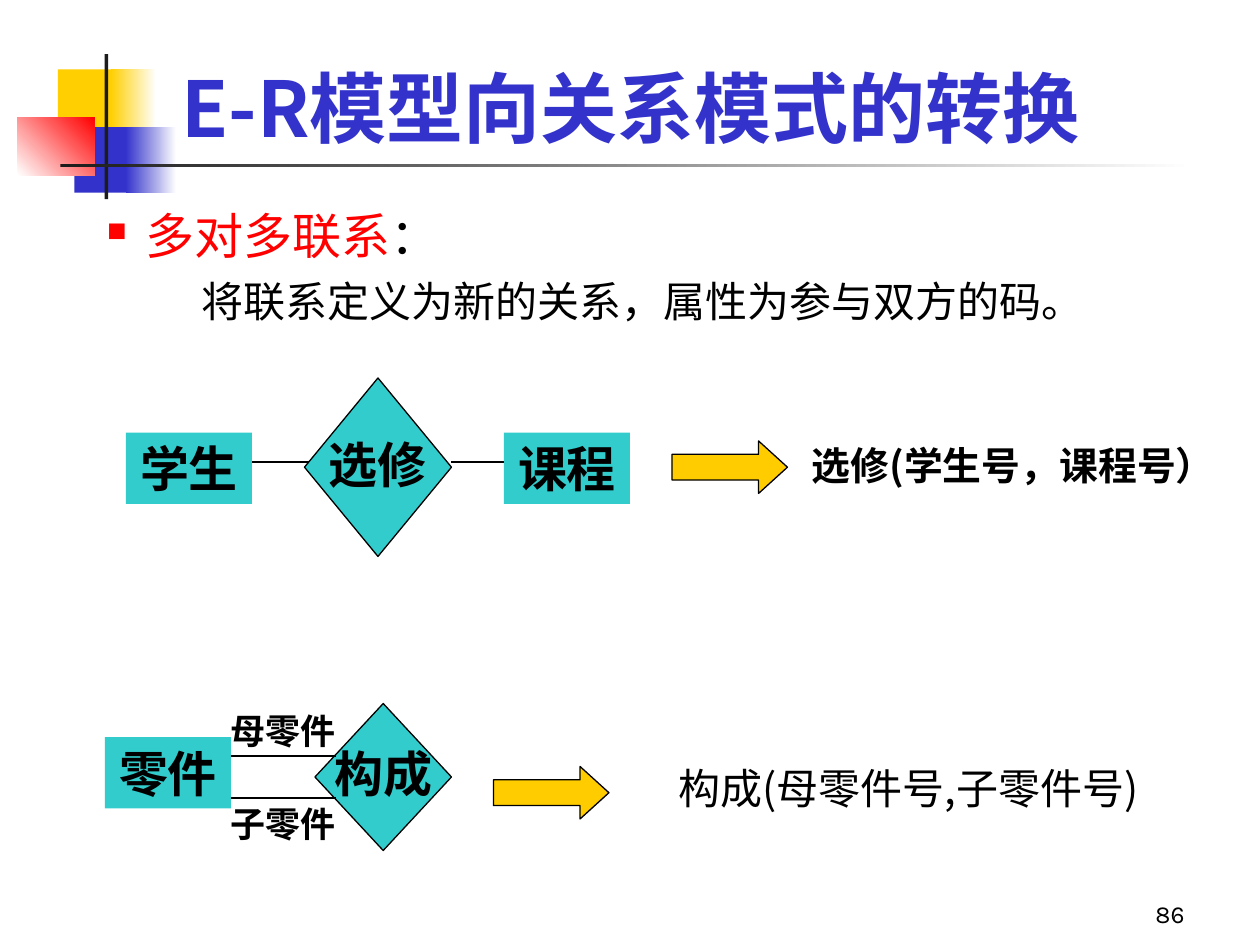
from typing import NamedTuple

from lxml import etree
from pptx import Presentation
from pptx.dml.color import RGBColor
from pptx.enum.shapes import MSO_CONNECTOR, MSO_SHAPE
from pptx.enum.text import MSO_ANCHOR, PP_ALIGN
from pptx.oxml.ns import qn
from pptx.util import Inches, Pt

RECTANGLE, DIAMOND, ARROW = MSO_SHAPE.RECTANGLE, MSO_SHAPE.DIAMOND, MSO_SHAPE.RIGHT_ARROW
STRAIGHT = MSO_CONNECTOR.STRAIGHT
TOP, MIDDLE, BOTTOM = MSO_ANCHOR.TOP, MSO_ANCHOR.MIDDLE, MSO_ANCHOR.BOTTOM
CENTER, RIGHT, JUSTIFY = PP_ALIGN.CENTER, PP_ALIGN.RIGHT, PP_ALIGN.JUSTIFY

COLUMNS, ROWS = 120, 90
UNIT = Inches(10) / COLUMNS
COLORS = {
    "yellow": "FFCF01", "blue": "3333CC", "red": "FF0000", "dark": "1C1C1C",
    "white": "FFFFFF", "black": "000000", "teal": "33CCCC", "arrow": "FFCC00",
}
LATIN, BODY, TITLE, RELATION = "Times New Roman", "Karla", "Noto Sans CJK SC", "Noto Sans CJK JP"


class Box(NamedTuple):
    """A rectangle measured in grid columns and rows."""
    left: float
    top: float
    width: float
    height: float

    def inner(self, left, top, width, height):
        """Return a box offset from this box's corner."""
        return Box(self.left + left, self.top + top, width, height)

    def lengths(self):
        """Return the box as slide lengths."""
        return [round(value * UNIT) for value in self]


def color(name):
    """Look up a palette colour."""
    return RGBColor.from_string(COLORS[name])


def set_font(paragraph, size, name, bold=False, tint="black"):
    """Set the font shared by all runs of a paragraph."""
    font = paragraph.font
    font.size, font.name, font.bold = Pt(size), name, bold
    if tint:
        font.color.rgb = color(tint)


def set_indent(paragraph, margin, first):
    """Set the left margin and first-line indent in inches."""
    properties = paragraph._p.get_or_add_pPr()
    properties.set("marL", str(Inches(margin)))
    properties.set("indent", str(Inches(first)))


def set_text(shape, text, size, name, bold=False, tint="black", align=CENTER,
             anchor=TOP, wrap=True, spacing=None, hanging=False):
    """Write one paragraph into a shape."""
    frame = shape.text_frame
    frame.word_wrap, frame.vertical_anchor = wrap, anchor
    paragraph = frame.paragraphs[0]
    paragraph.text = text
    paragraph.alignment = align
    if spacing:
        paragraph.line_spacing = spacing
    if hanging:
        set_indent(paragraph, 0.81, -0.31)
    set_font(paragraph, size, name, bold, tint)


def add_label(shapes, box, text, size, name, **style):
    """Add a text box with one paragraph."""
    set_text(shapes.add_textbox(*box.lengths()), text, size, name, **style)


def add_block(shapes, kind, box, fill, outlined=False):
    """Add a flat preset shape."""
    shape = shapes.add_shape(kind, *box.lengths())
    shape.shadow.inherit = False
    shape.fill.solid()
    shape.fill.fore_color.rgb = color(fill)
    if outlined:
        shape.line.color.rgb = color("black")
        shape.line.width = Pt(0.75)
    else:
        shape.line.fill.background()
    return shape


def add_fade(shapes, box, start, end, angle=0):
    """Add a rectangle that fades between two colours."""
    fill = add_block(shapes, RECTANGLE, box, start).fill
    fill.gradient()
    fill.gradient_angle = angle
    for stop, name in zip(fill.gradient_stops, (start, end)):
        stop.color.rgb = color(name)


def add_entity(shapes, box, text):
    """Add an entity rectangle."""
    set_text(add_block(shapes, RECTANGLE, box, "teal"), text, 28, LATIN, bold=True)


def add_relationship(shapes, box, text):
    """Add a relationship diamond."""
    diamond = add_block(shapes, DIAMOND, box, "teal", outlined=True)
    set_text(diamond, text, 28, LATIN, bold=True, anchor=MIDDLE, wrap=False, spacing=0.9)


def add_link(shapes, box):
    """Add a level line along the top of a box."""
    left, top, width, _ = box.lengths()
    line = shapes.add_connector(STRAIGHT, left, top, left + width, top)
    line.line.color.rgb = color("black")
    line.line.width = Pt(0.75)
    etree.SubElement(line._element.spPr, qn("a:effectLst"))


def add_arrow(shapes, box):
    """Add a block arrow."""
    arrow = add_block(shapes, ARROW, box, "arrow", outlined=True)
    arrow.adjustments[0], arrow.adjustments[1] = 0.49, 0.55


def add_decoration(shapes, box):
    """Draw the coloured squares and crossing rules."""
    square = 6.24
    add_block(shapes, RECTANGLE, box.inner(3.84, 1.44, 5.76, square), "yellow")
    add_fade(shapes, box.inner(8.88, 1.44, 4.32, square), "yellow", "white")
    add_block(shapes, RECTANGLE, box.inner(5.4, 6.96, 5.52, square), "blue")
    add_fade(shapes, box.inner(10.32, 6.96, 4.8, square), "blue", "white")
    add_fade(shapes, box.inner(0, 6, 7.32, 5.52), "white", "red", angle=45)
    add_block(shapes, RECTANGLE, box.inner(8.28, 0, 0.36, box.height), "dark")
    add_fade(shapes, box.inner(4.08, 10.44, 108, 0.36), "dark", "white")


def add_body(shapes, box):
    """Write the bulleted heading and its explanation."""
    frame = shapes.add_textbox(*box.lengths()).text_frame
    frame.word_wrap = True
    heading = frame.paragraphs[0]
    set_indent(heading, 0.81, -0.31)
    properties = heading._p.get_or_add_pPr()
    bullet_color = etree.SubElement(properties, qn("a:buClr"))
    etree.SubElement(bullet_color, qn("a:srgbClr"), val=COLORS["red"])
    etree.SubElement(properties, qn("a:buSzPct"), val="55000")
    etree.SubElement(properties, qn("a:buChar"), char="■")
    set_font(heading, 28, BODY, tint=None)
    for text, tint in (("多对多联系", "red"), ("：", "black")):
        run = heading.add_run()
        run.text = text
        run.font.color.rgb = color(tint)
    detail = frame.add_paragraph()
    detail.text = "将联系定义为新的关系，属性为参与双方的码。"
    detail.space_before = Pt(6)
    set_indent(detail, 1.25, 0)
    set_font(detail, 24, BODY)
    heading.alignment = detail.alignment = JUSTIFY


def add_course_example(shapes, box):
    """Draw two entities joined by a relationship, and the resulting relation."""
    diagram = shapes.add_group_shape().shapes
    for left, name in ((0, "学生"), (36, "课程")):
        add_entity(diagram, box.inner(left, 5.2, 12, 6.8), name)
    for left, width in ((12, 6), (31, 5)):
        add_link(diagram, box.inner(left, 8, width, 0))
    add_relationship(diagram, box.inner(17, 0, 14, 17), "选修")
    add_label(shapes, box.inner(56.5, 6, 50, 6), "选修(学生号，课程号）", 22.2, RELATION,
              bold=True, spacing=0.9, hanging=True)
    add_arrow(shapes, box.inner(52, 6, 11, 5))


def add_part_example(shapes, box):
    """Draw an entity related to itself, and the resulting relation."""
    diagram = shapes.add_group_shape().shapes
    add_relationship(diagram, box.inner(20, 0, 13, 14), "构成")
    add_entity(diagram, box.inner(0, 3.2, 12, 6.8), "零件")
    for line_top, label_top, role in ((5, 0, "母零件"), (9, 8.8, "子零件")):
        add_link(diagram, box.inner(12, line_top, 10, 0))
        add_label(diagram, box.inner(10, label_top, 14, 5.2), role, 20, LATIN, bold=True)
    add_arrow(shapes, box.inner(37, 6, 11, 5))
    add_label(shapes, box.inner(42, 5, 63, 8), "构成(母零件号,子零件号)", 24, RELATION, hanging=True)


def main():
    """Build and save the slide."""
    presentation = Presentation()
    presentation.slide_width = round(COLUMNS * UNIT)
    presentation.slide_height = round(ROWS * UNIT)
    shapes = presentation.slides.add_slide(presentation.slide_layouts[6]).shapes
    add_decoration(shapes, Box(1.68, 5.16, 112, 13.8))
    add_label(shapes, Box(89, 83, 25, 6), "86", 14, BODY, align=RIGHT, anchor=BOTTOM)
    add_label(shapes, Box(9, 3, 102.2, 12.2), "E-R模型向关系模式的转换", 44, TITLE,
              bold=True, tint="blue", anchor=BOTTOM)
    add_body(shapes, Box(3, 19, 114.5, 13.8))
    add_course_example(shapes, Box(12, 36, 107, 17))
    add_part_example(shapes, Box(10, 67, 105, 14))
    presentation.save("out.pptx")


if __name__ == "__main__":
    main()
